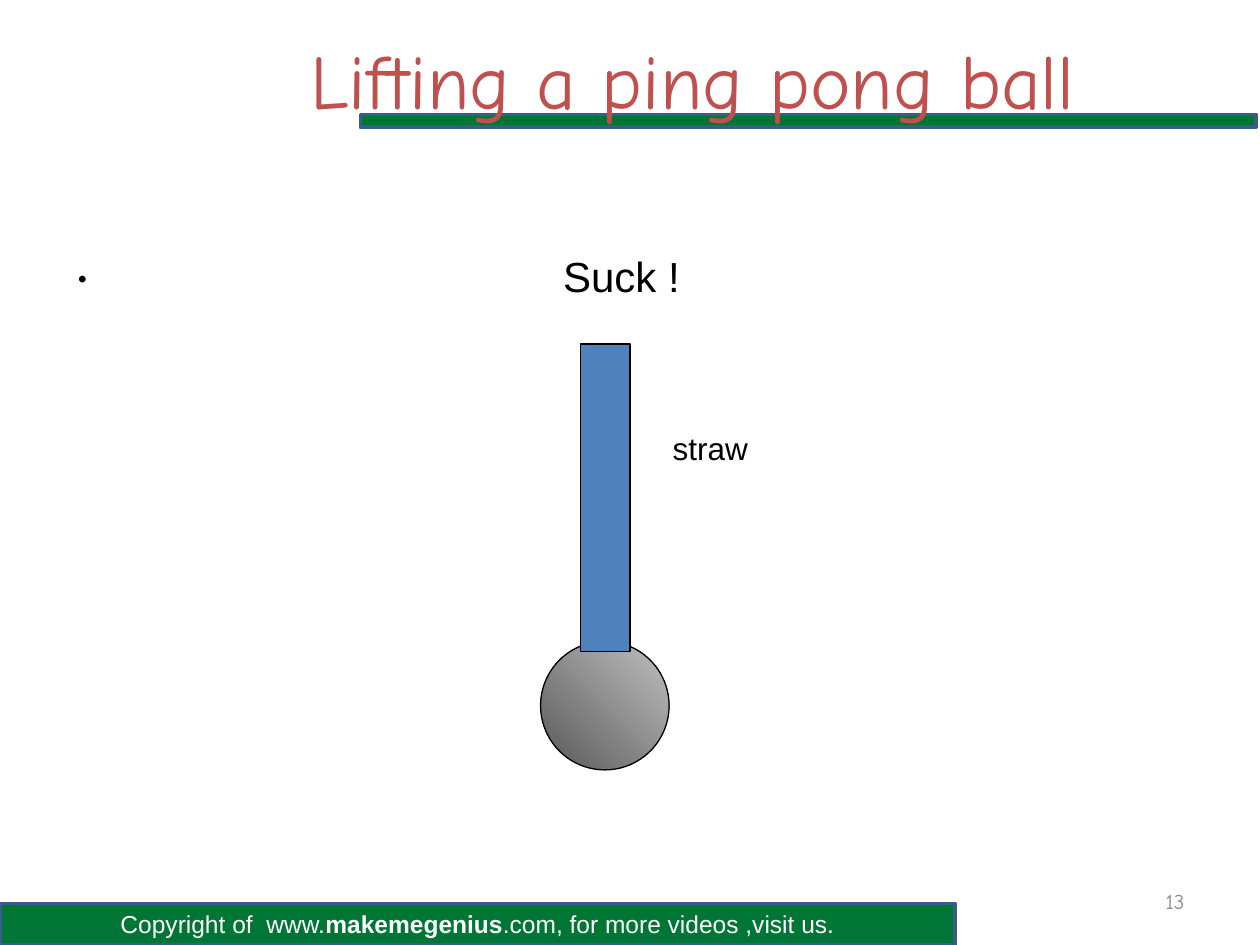
from dataclasses import dataclass

from pptx import Presentation
from pptx import util as u
from pptx.dml.color import RGBColor
from pptx.enum import shapes, text

PX = 9144  # EMU per px, 100 px to the inch
GREEN, NAVY, BLACK, WHITE = "007635", "385D8A", "000000", "FFFFFF"
LEFT, CENTER, RIGHT = text.PP_ALIGN.LEFT, text.PP_ALIGN.CENTER, text.PP_ALIGN.RIGHT
TOP, MIDDLE = text.MSO_ANCHOR.TOP, text.MSO_ANCHOR.MIDDLE


@dataclass
class Label:
    words: str
    box: tuple[int, int, int, int]
    size: int
    font: str = "Arial"
    color: str = BLACK
    align: text.PP_ALIGN = LEFT
    anchor: text.MSO_ANCHOR = TOP


LABELS = [
    Label("Lifting a ping pong ball", (100, 0, 900, 125), 44, "Comic Neue", "C0504D", CENTER, MIDDLE),
    Label(".", (50, 175, 900, 495), 32, "Calibri"),
    Label("13", (717, 695, 233, 40), 12, "Comic Neue", "898989", RIGHT, MIDDLE),
    Label("straw", (524, 336, 102, 40), 18),
    Label("Suck !", (437, 194, 118, 50), 24),
]


def rgb(color: str) -> RGBColor:
    return RGBColor.from_string(color)


def outline(shape, color: str, points: float) -> None:
    shape.shadow.inherit = False
    shape.line.color.rgb = rgb(color)
    shape.line.width = u.Pt(points)


def paint(shape, fill: str, line: str, points: float) -> None:
    shape.fill.solid()
    shape.fill.fore_color.rgb = rgb(fill)
    outline(shape, line, points)


def add_preset(slide, kind: shapes.MSO_SHAPE, box: tuple[int, int, int, int]):
    return slide.shapes.add_shape(kind, *(side * PX for side in box))


def style(paragraph, size: int, font: str, color: str, align: text.PP_ALIGN) -> None:
    paragraph.alignment = align
    paragraph.font.size = u.Pt(size)
    paragraph.font.name = font
    paragraph.font.color.rgb = rgb(color)


def add_label(slide, label: Label) -> None:
    frame = slide.shapes.add_textbox(*(side * PX for side in label.box)).text_frame
    frame.word_wrap = True
    frame.vertical_anchor = label.anchor
    frame.text = label.words
    style(frame.paragraphs[0], label.size, label.font, label.color, label.align)


def add_footer(slide) -> None:
    footer = add_preset(slide, shapes.MSO_SHAPE.RECTANGLE, (0, 717, 758, 33))
    paint(footer, GREEN, NAVY, 2)
    footer.text_frame.word_wrap = True
    footer.text_frame.vertical_anchor = MIDDLE
    notice = footer.text_frame.paragraphs[0]
    for words, bold in [
        ("Copyright of  www.", False),
        ("makemegenius", True),
        (".com, for more videos ,visit us.", False),
    ]:
        run = notice.add_run()
        run.text = words
        run.font.bold = bold
    style(notice, 14, "Arial", WHITE, CENTER)


def add_title_bar(slide) -> None:
    builder = slide.shapes.build_freeform(286, 91, scale=PX)
    builder.add_line_segments([(997, 91), (997, 101), (286, 101)], close=True)
    paint(builder.convert_to_shape(), GREEN, NAVY, 2)


def add_ball(slide) -> None:
    ball = add_preset(slide, shapes.MSO_SHAPE.OVAL, (429, 509, 102, 102))
    ball.fill.gradient()
    ball.fill.gradient_angle = 45
    for stop, color in zip(ball.fill.gradient_stops, ("595959", "C0C0C0")):
        stop.color.rgb = rgb(color)
    for stop, position in zip(ball.fill.gradient_stops, (0, 1)):
        stop.position = position
    outline(ball, BLACK, 0.75)


def main() -> None:
    deck = Presentation()
    deck.slide_width, deck.slide_height = 1000 * PX, 750 * PX
    slide = deck.slides.add_slide(deck.slide_layouts[6])
    add_footer(slide)
    add_title_bar(slide)
    add_ball(slide)
    straw = add_preset(slide, shapes.MSO_SHAPE.RECTANGLE, (461, 273, 39, 244))
    paint(straw, "4F81BD", BLACK, 0.75)
    for label in LABELS:
        add_label(slide, label)
    deck.save("out.pptx")


if __name__ == "__main__":
    main()
